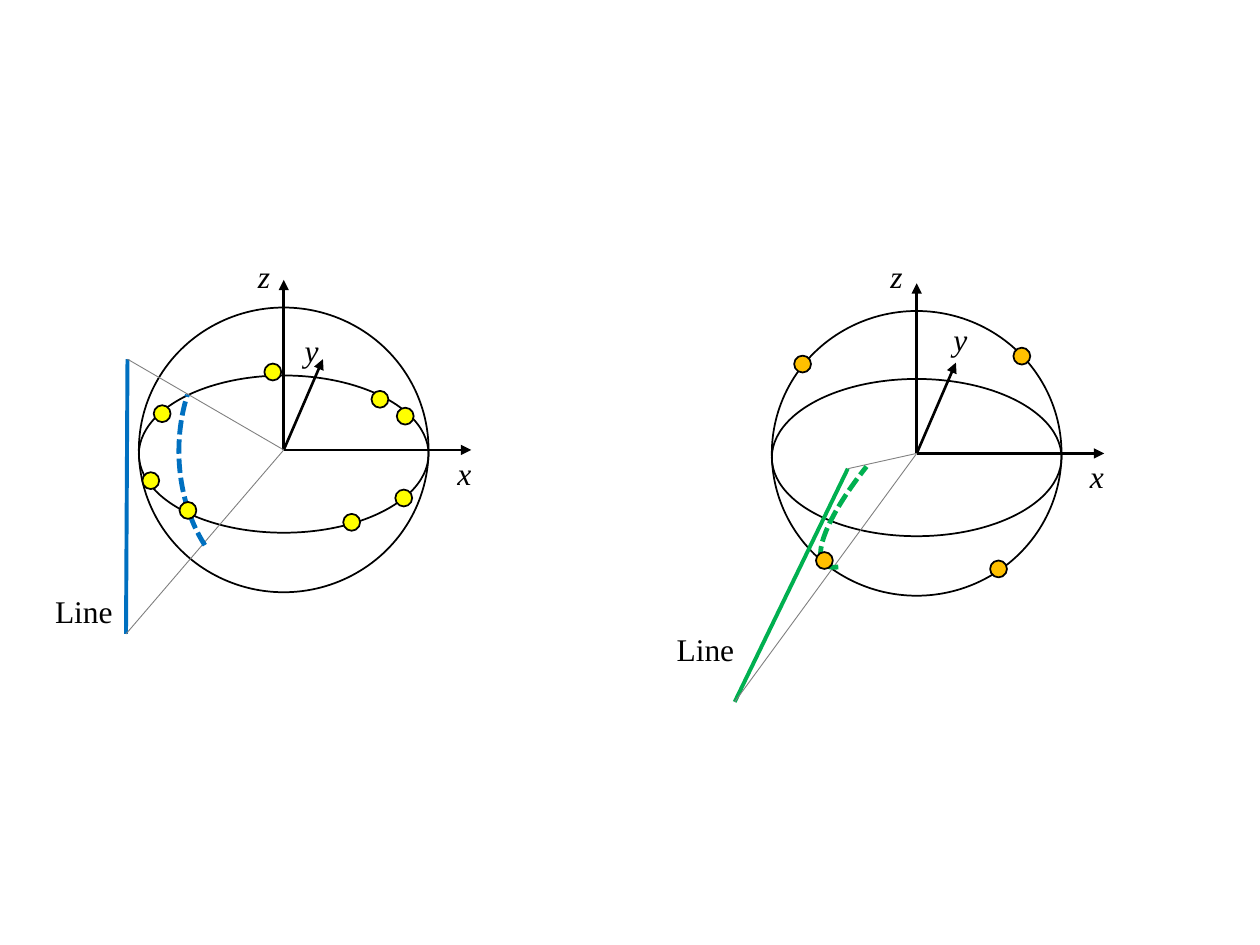
from lxml import etree
from pptx import Presentation
from pptx.dml.color import RGBColor
from pptx.enum.dml import MSO_LINE
from pptx.enum.shapes import MSO_CONNECTOR, MSO_SHAPE
from pptx.enum.text import MSO_AUTO_SIZE
from pptx.oxml.ns import qn
from pptx.util import Cm, Pt

STRAIGHT = MSO_CONNECTOR.STRAIGHT
OVAL, ARC = MSO_SHAPE.OVAL, MSO_SHAPE.ARC
DASH = MSO_LINE.SQUARE_DOT
FIT = MSO_AUTO_SIZE.SHAPE_TO_FIT_TEXT
FONT = "Times New Roman"
BLACK, GRAY = "000000", "808080"

# All lengths are in centimetres; these are measured from the origin of the axes.
SPHERE = (-2.92, -2.87, 5.84, 5.74)
EQUATOR = (-2.92, -1.5, 5.84, 3.17)
AXIS_TIPS = [(3.78, 0), (0.79, -1.83), (0, -3.43)]
POINT_SIZE = 0.34

PANELS = [
    {
        "origin": (18.48, 9.14),
        "line": [(17.09, 9.45), (14.81, 14.15)],
        "line_color": "00B050",
        "arc": (17.83, 6.38, 1.52, 5.77),
        "arc_rotation": 223.1,
        "arc_angles": (264.93, 309.89),
        "point_color": "FFC000",
        "points": [(16.62, 11.3), (16.18, 7.34), (20.6, 7.18), (20.13, 11.47)],
        "line_label": (13.39, 12.57),
        "axis_labels": {"x": (21.72, 9.09), "y": (18.97, 6.32), "z": (17.7, 5.05)},
    },
    {
        "origin": (5.72, 9.07),
        "line": [(2.57, 7.24), (2.54, 12.78)],
        "line_color": "0070C0",
        "arc": (2.87, 6.91, 5.84, 4.37),
        "arc_rotation": 90,
        "arc_angles": (41.23, 119.45),
        "point_color": "FFFF00",
        "points": [(3.79, 10.29), (7.66, 8.05), (5.5, 7.5), (8.14, 10.04),
                   (3.27, 8.34), (3.04, 9.69), (8.17, 8.39), (7.09, 10.53)],
        "line_label": (0.86, 11.81),
        "axis_labels": {"x": (8.97, 9.02), "y": (5.89, 6.55), "z": (4.95, 5.05)},
    },
]


def color(hex_code):
    return RGBColor.from_string(hex_code)


def set_line(shape, hex_code, width):
    shape.line.color.rgb = color(hex_code)
    shape.line.width = Pt(width)


def add_outline(group, kind, box, hex_code=BLACK, width=1, fill=None):
    shape = group.shapes.add_shape(kind, *map(Cm, box))
    shape.shadow.inherit = False
    if fill:
        shape.fill.solid()
        shape.fill.fore_color.rgb = color(fill)
    else:
        shape.fill.background()
    set_line(shape, hex_code, width)
    return shape


def add_segment(group, start, end, hex_code, width, arrow=False):
    segment = group.shapes.add_connector(STRAIGHT, *map(Cm, (*start, *end)))
    set_line(segment, hex_code, width)
    if arrow:
        tail = etree.SubElement(segment.line._get_or_add_ln(), qn("a:tailEnd"))
        tail.set("type", "triangle")
    etree.SubElement(segment._element.spPr, qn("a:effectLst"))


def add_label(group, text, position, width, italic=False):
    box = group.shapes.add_textbox(*map(Cm, (*position, width, 1.02)))
    frame = box.text_frame
    frame.word_wrap = False
    frame.auto_size = FIT
    frame.text = text
    font = frame.paragraphs[0].runs[0].font
    font.name, font.size, font.italic = FONT, Pt(18), italic
    font.color.rgb = color(BLACK)


def add_panel(page, panel):
    """Draw a sphere with its axes, a line in space and the line's arc on the sphere."""
    group = page.shapes.add_group_shape()
    origin = left, top = panel["origin"]

    for x, y, width, height in (SPHERE, EQUATOR):
        add_outline(group, OVAL, (left + x, top + y, width, height))
    for x, y in AXIS_TIPS:
        add_segment(group, origin, (left + x, top + y), BLACK, 1.5, arrow=True)

    add_label(group, "Line", panel["line_label"], 1.68)
    add_segment(group, *panel["line"], panel["line_color"], 2.25)
    for end in panel["line"]:
        add_segment(group, end, origin, GRAY, 0.5)

    arc = add_outline(group, ARC, panel["arc"], panel["line_color"], 2.75)
    arc.rotation = panel["arc_rotation"]
    arc.line.dash_style = DASH
    for index, angle in enumerate(panel["arc_angles"]):
        arc.adjustments[index] = angle * 0.6  # 60000 units a degree, over 100000

    for x, y in panel["points"]:
        corner = (x - POINT_SIZE / 2, y - POINT_SIZE / 2)
        add_outline(group, OVAL, (*corner, POINT_SIZE, POINT_SIZE),
                    fill=panel["point_color"])
    for name, position in panel["axis_labels"].items():
        add_label(group, name, position, 0.78, italic=True)


def main():
    deck = Presentation()
    deck.slide_width, deck.slide_height = Cm(25.4), Cm(19.05)
    page = deck.slides.add_slide(deck.slide_layouts[6])
    for panel in PANELS:
        add_panel(page, panel)
    deck.save("out.pptx")


if __name__ == "__main__":
    main()
